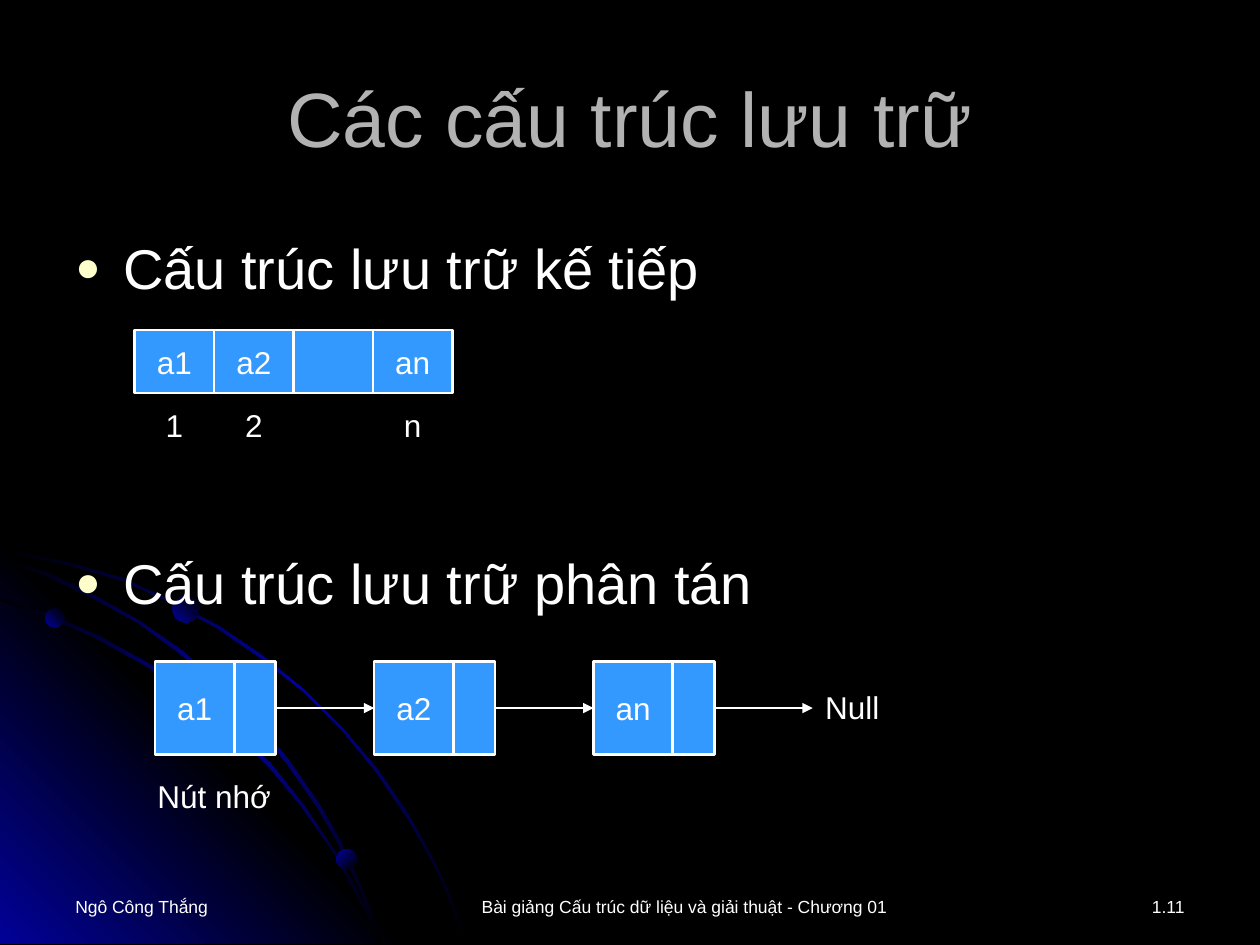
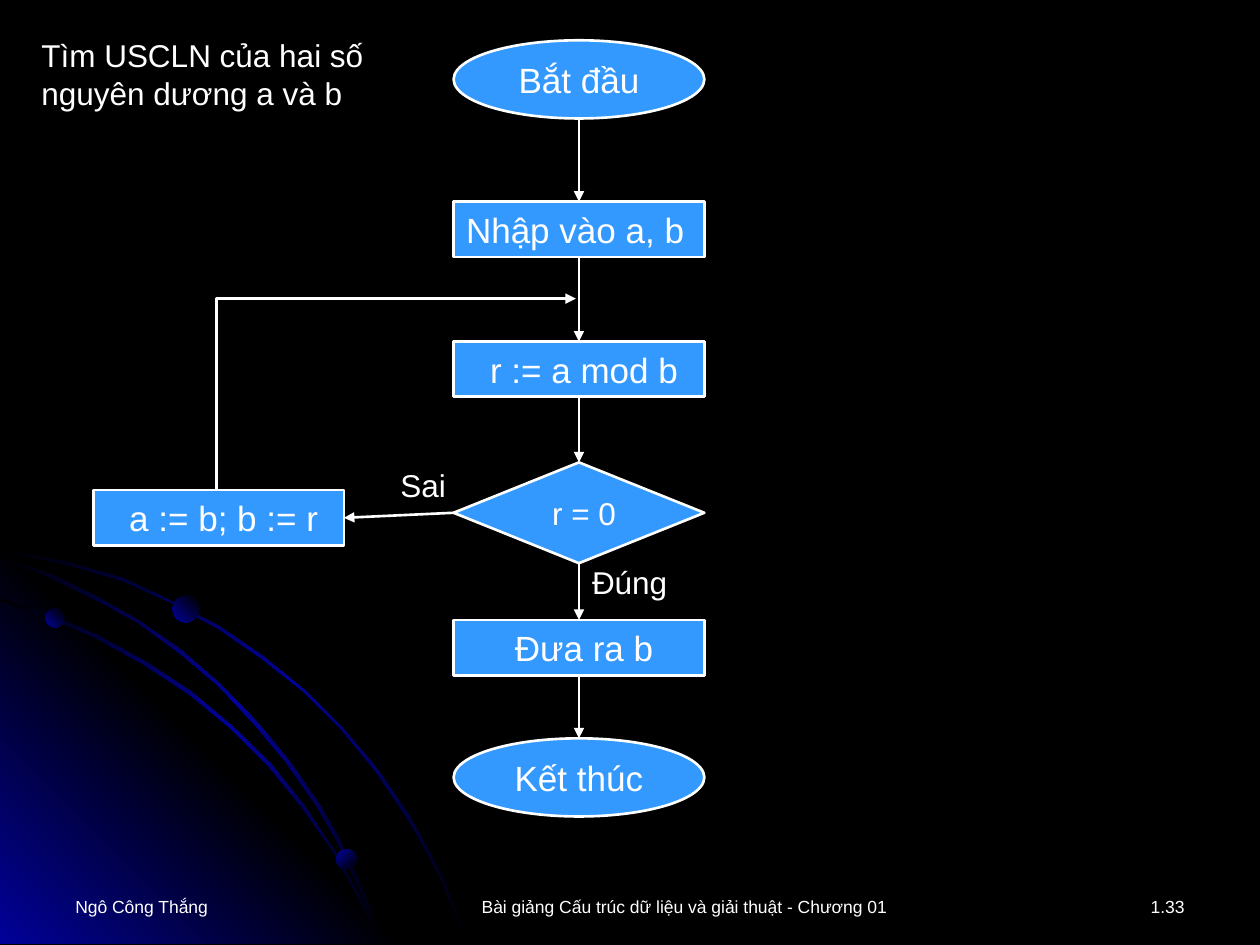
from lxml import etree
from pptx import Presentation
from pptx.dml.color import RGBColor
from pptx.enum.shapes import MSO_CONNECTOR, MSO_SHAPE
from pptx.enum.text import MSO_ANCHOR, PP_ALIGN
from pptx.oxml import parse_xml
from pptx.oxml.ns import nsdecls, qn
from pptx.util import Inches, Pt

GRID = Inches(1)  # the slide is 10 columns by 7.5 rows
FINE = GRID // 100  # unit of the freeform points
COLUMNS, ROWS = 10, 7.5
FONT = "Arial"
COLORS = {"background": "000000", "text": "FFFFFF", "title": "B2B2B2",
          "bullet": "FFFFCC", "box": "3399FF", "line": "FFFFFF", "glow": "010199"}

LEFT, CENTER, RIGHT = PP_ALIGN.LEFT, PP_ALIGN.CENTER, PP_ALIGN.RIGHT
TOP_ANCHOR, MIDDLE_ANCHOR = MSO_ANCHOR.TOP, MSO_ANCHOR.MIDDLE
STRAIGHT = MSO_CONNECTOR.STRAIGHT
RECTANGLE, OVAL, DIAMOND = MSO_SHAPE.RECTANGLE, MSO_SHAPE.OVAL, MSO_SHAPE.DIAMOND
TOP_SITE, LEFT_SITE, BOTTOM_SITE, RIGHT_SITE = range(4)

TITLE_ONLY, BLANK = 5, 6
INSET = 0.1
SPACE_INSET = 0.18

FADE = ("background", "glow", "background")
CORNER = [(322, 749), (0, 749), (0, 427)]
ARCS = [
    [(57, 447), (28, 441), (0, 435), (0, 438), (28, 443), (56, 449), (97, 461),
     (135, 478), (173, 499), (208, 523), (241, 549), (271, 579), (298, 612),
     (323, 649), (337, 673), (350, 698), (360, 723), (370, 749), (372, 749),
     (362, 723), (352, 698), (339, 673), (325, 648), (300, 611), (272, 578),
     (242, 548), (209, 521), (174, 497), (136, 477), (98, 459)],
    [(285, 714), (294, 732), (301, 749), (303, 749), (296, 730), (286, 712),
     (266, 676), (242, 640), (215, 606), (184, 576), (152, 549), (117, 526),
     (79, 505), (41, 488), (0, 475), (0, 477), (39, 490), (77, 507), (115, 528),
     (150, 551), (183, 578), (213, 608), (240, 641), (265, 677)],
    [(0, 442), (0, 444), (36, 457), (74, 475), (109, 494), (142, 518), (173, 544),
     (202, 575), (227, 605), (252, 641), (267, 667), (280, 694), (292, 722),
     (301, 749), (303, 749), (294, 720), (282, 693), (269, 665), (254, 639),
     (229, 603), (204, 573), (175, 543), (144, 516), (111, 493), (76, 473),
     (39, 455)],
]
DOTS = [(0.36, 4.83, 0.15, 315), (2.67, 6.74, 0.16, 45), (1.37, 4.73, 0.21, 315)]


def color(name):
    return RGBColor.from_string(COLORS[name])


def cells(*lengths):
    """Turn grid lengths into slide lengths."""
    return [round(length * GRID) for length in lengths]


def style_paragraph(para, size, align=LEFT, color_name="text"):
    para.alignment = align
    para.font.name = FONT
    para.font.size = Pt(size)
    para.font.color.rgb = color(color_name)


def write(shape, text, size, align=LEFT, anchor=TOP_ANCHOR, left_inset=INSET):
    frame = shape.text_frame
    frame.word_wrap = True
    frame.vertical_anchor = anchor
    frame.margin_left, frame.margin_right = cells(left_inset, INSET)
    frame.text = text
    style_paragraph(frame.paragraphs[0], size, align)


def add_label(page, place, text, size=18, align=LEFT):
    write(page.shapes.add_textbox(*cells(*place)), text, size, align)


def add_box(page, kind, place, text="", size=18, align=CENTER, left_inset=INSET):
    box = page.shapes.add_shape(kind, *cells(*place))
    box.shadow.inherit = False
    box.fill.solid()
    box.fill.fore_color.rgb = color("box")
    style_line(box.line)
    if text:
        write(box, text, size, align, MIDDLE_ANCHOR, left_inset)
    return box


def style_line(line, arrow=False):
    line.color.rgb = color("line")
    line.width = Pt(1.5)
    if arrow:
        etree.SubElement(line._get_or_add_ln(), qn("a:tailEnd"), type="triangle")


def add_arrow(page, start, end, source=None, target=None):
    """Draw an arrow; source and target are (shape, site) pairs to join."""
    arrow = page.shapes.add_connector(STRAIGHT, *cells(*start, *end))
    style_line(arrow.line, arrow=True)
    etree.SubElement(arrow._element.spPr, qn("a:effectLst"))
    if source:
        arrow.begin_connect(*source)
    if target:
        arrow.end_connect(*target)


def add_outline(page, points, close=True):
    builder = page.shapes.build_freeform(*points[0], scale=FINE)
    builder.add_line_segments(points[1:], close=close)
    outline = builder.convert_to_shape()
    outline.shadow.inherit = False
    outline.fill.background()
    return outline


def fill_gradient(shape, color_names, angle):
    """Fill with evenly spaced colours along a clockwise angle, without a line."""
    step = 100000 // (len(color_names) - 1)
    stops = "".join(
        f'<a:gs pos="{index * step}"><a:srgbClr val="{COLORS[name]}"/></a:gs>'
        for index, name in enumerate(color_names))
    shape.shadow.inherit = False
    shape.fill.background()
    shape.line.fill.background()
    properties = shape._element.spPr
    properties.replace(properties.find(qn("a:noFill")), parse_xml(
        f'<a:gradFill {nsdecls("a")} rotWithShape="1"><a:gsLst>{stops}</a:gsLst>'
        f'<a:lin ang="{angle * 60000}" scaled="0"/></a:gradFill>'))


def add_orbits(page):
    first_arc, *other_arcs = ARCS
    fill_gradient(add_outline(page, first_arc), FADE, 45)
    fill_gradient(add_outline(page, CORNER), ("glow", "background", "glow"), 315)
    for arc in other_arcs:
        fill_gradient(add_outline(page, arc), FADE, 45)
    for left, top, size, angle in DOTS:
        dot = page.shapes.add_shape(OVAL, *cells(left, top, size, size))
        fill_gradient(dot, ("glow", "background"), angle)


def add_page(deck, layout, number):
    page = deck.slides.add_slide(deck.slide_layouts[layout])
    add_orbits(page)
    footers = [(0.5, 2.33, "Ngô Công Thắng", LEFT),
               (2.96, 4.94, "Bài giảng Cấu trúc dữ liệu và giải thuật - Chương 01", CENTER),
               (8.04, 1.46, number, RIGHT)]
    for left, width, text, align in footers:
        add_label(page, (left, 7.06, width, 0.3), text, 10, align)
    return page


def set_title(page, text):
    title = page.shapes.title
    title.left, title.top, title.width, title.height = cells(0.5, 0.3, 9, 1.25)
    title.text_frame.text = text
    title.text_frame.vertical_anchor = MIDDLE_ANCHOR
    style_paragraph(title.text_frame.paragraphs[0], 44, CENTER, "title")


def add_bullets(page, place, texts, gap):
    frame = page.shapes.add_textbox(*cells(*place)).text_frame
    frame.word_wrap = True
    for index, text in enumerate(texts):
        para = frame.add_paragraph() if index else frame.paragraphs[0]
        para.text = text
        properties = para._p.get_or_add_pPr()
        hanging = cells(0.38)[0]
        properties.set("marL", str(hanging))
        properties.set("indent", str(-hanging))
        bullet_color = etree.SubElement(properties, qn("a:buClr"))
        etree.SubElement(bullet_color, qn("a:srgbClr"), val=COLORS["bullet"])
        etree.SubElement(properties, qn("a:buSzPct"), val="75000")
        etree.SubElement(properties, qn("a:buFont"), typeface=FONT)
        etree.SubElement(properties, qn("a:buChar"), char="●")
        style_paragraph(para, 32)
        if index:
            para.space_before = Pt(gap)


def add_array(page):
    left, top, width, height = 1.07, 2.62, 0.63, 0.5
    for index, (value, position) in enumerate([("a1", "1"), ("a2", "2"), ("", ""), ("an", "n")]):
        cell_left = left + index * width
        add_box(page, RECTANGLE, (cell_left, top, width, height), value)
        if position:
            add_label(page, (cell_left, 3.17, width, 0.42), position, align=CENTER)


def add_linked_list(page):
    left, top, pitch, height = 1.23, 5.25, 1.74, 0.74
    value_width, link_width = 0.63, 0.33
    middle = top + height / 2
    previous = None
    for index, value in enumerate(["a1", "a2", "an"]):
        node_left = left + index * pitch
        link_left = node_left + value_width
        node = add_box(page, RECTANGLE, (node_left, top, value_width, height), value)
        link = add_box(page, RECTANGLE, (link_left, top, link_width, height))
        if previous:
            add_arrow(page, (node_left, middle), (node_left, middle),
                      (previous, RIGHT_SITE), (node, LEFT_SITE))
        previous = link
    null_left = left + 3 * pitch
    add_arrow(page, (null_left, middle), (null_left, middle), (previous, RIGHT_SITE))
    add_label(page, (null_left, 5.41, 0.7, 0.4), "Null")
    add_label(page, (1.15, 6.12, 1.15, 0.4), "Nút nhớ")


def build_storage_page(deck):
    page = add_page(deck, TITLE_ONLY, "1.11")
    set_title(page, "Các cấu trúc lưu trữ")
    add_bullets(page, (0.5, 1.8, 9, 3.22),
                ["Cấu trúc lưu trữ kế tiếp", "Cấu trúc lưu trữ phân tán"], gap=142)
    add_array(page)
    add_linked_list(page)


def build_flowchart_page(deck):
    page = add_page(deck, BLANK, "1.33")
    left, width, box_height = 3.6, 1.99, 0.44
    middle = left + width / 2
    steps = [
        (OVAL, 0.32, 0.62, "Bắt đầu", 20, CENTER, INSET),
        (RECTANGLE, 1.6, box_height, "Nhập vào a, b", 20, LEFT, INSET),
        (RECTANGLE, 2.71, box_height, "r := a mod b", 20, CENTER, SPACE_INSET),
        (DIAMOND, 3.67, 0.8, "r = 0", 18, CENTER, SPACE_INSET),
        (RECTANGLE, 4.92, box_height, "Đưa ra b", 20, CENTER, SPACE_INSET),
        (OVAL, 5.86, 0.62, "Kết thúc", 20, CENTER, INSET),
    ]
    boxes = [add_box(page, kind, (left, top, width, height), *style)
             for kind, top, height, *style in steps]
    for index in range(len(steps) - 1):
        kind, top, height = steps[index][:3]
        source = None if kind == OVAL else (boxes[index], BOTTOM_SITE)
        add_arrow(page, (middle, top + height), (middle, steps[index + 1][1]),
                  source, (boxes[index + 1], TOP_SITE))

    swap = add_box(page, RECTANGLE, (0.74, 3.89, width, box_height),
                   "a := b; b := r", 20, CENTER, SPACE_INSET)
    add_arrow(page, (left, 4.07), (2.73, 4.11), (boxes[3], LEFT_SITE), (swap, RIGHT_SITE))
    loop = add_outline(page, [(172, 389), (172, 237), (457, 237)], close=False)
    style_line(loop.line, arrow=True)

    add_label(page, (4.6, 4.42, 0.85, 0.4), "Đúng")
    add_label(page, (3.08, 3.65, 0.59, 0.4), "Sai")
    add_label(page, (0.23, 0.24, 2.85, 0.71), "Tìm USCLN của hai số nguyên dương a và b")


def main():
    deck = Presentation()
    deck.slide_width, deck.slide_height = cells(COLUMNS, ROWS)
    backdrop = deck.slide_master.background.fill
    backdrop.solid()
    backdrop.fore_color.rgb = color("background")
    build_storage_page(deck)
    build_flowchart_page(deck)
    deck.save("out.pptx")


if __name__ == "__main__":
    main()
